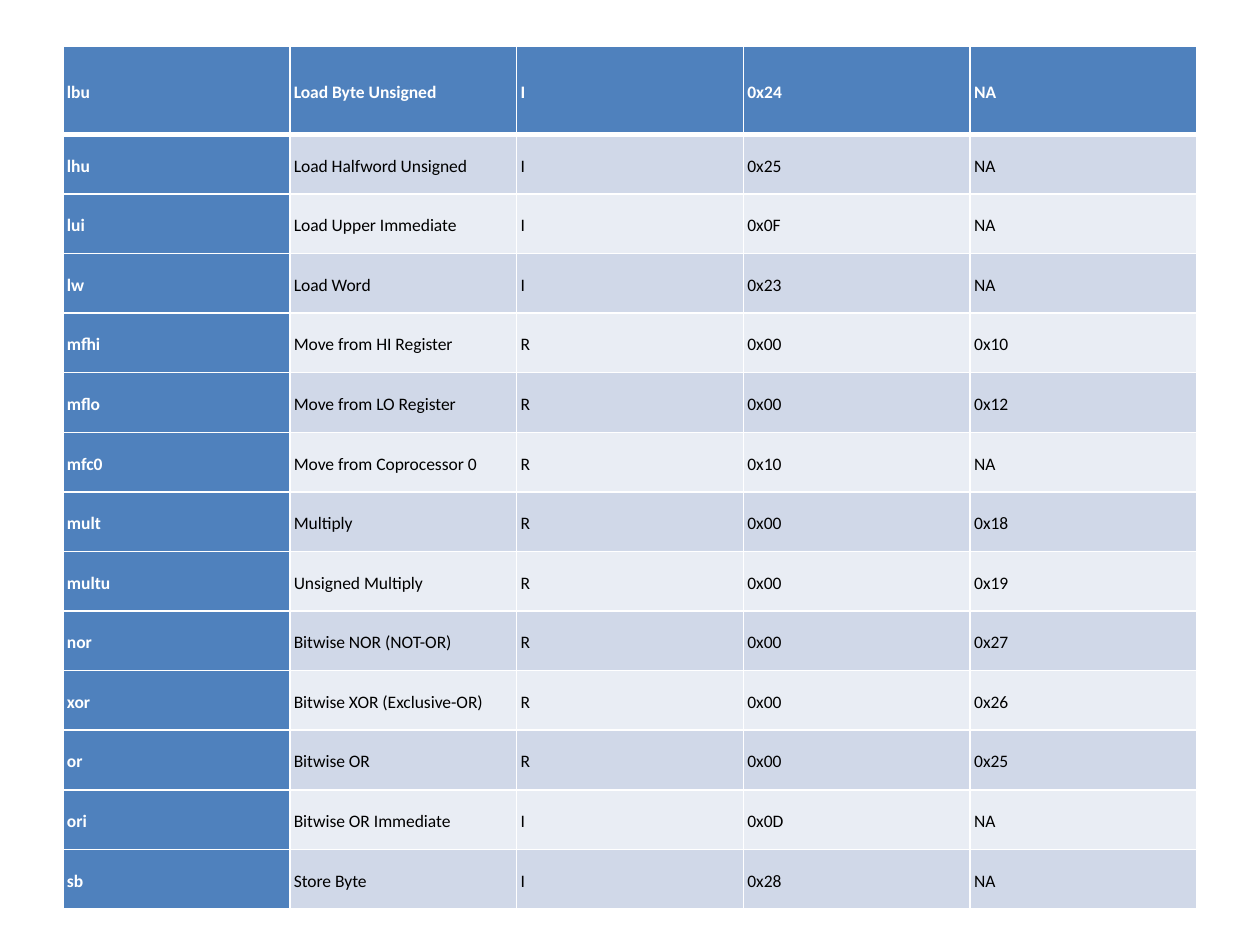
import pptx
import pptx.dml.color
import pptx.enum.text
import pptx.oxml.ns
import pptx.util
import lxml.etree

Cm = pptx.util.Cm
Pt = pptx.util.Pt

INSTRUCTIONS = [
    ("lbu", "Load Byte Unsigned", "I", "0x24", "NA"),
    ("lhu", "Load Halfword Unsigned", "I", "0x25", "NA"),
    ("lui", "Load Upper Immediate", "I", "0x0F", "NA"),
    ("lw", "Load Word", "I", "0x23", "NA"),
    ("mfhi", "Move from HI Register", "R", "0x00", "0x10"),
    ("mflo", "Move from LO Register", "R", "0x00", "0x12"),
    ("mfc0", "Move from Coprocessor 0", "R", "0x10", "NA"),
    ("mult", "Multiply", "R", "0x00", "0x18"),
    ("multu", "Unsigned Multiply", "R", "0x00", "0x19"),
    ("nor", "Bitwise NOR (NOT-OR)", "R", "0x00", "0x27"),
    ("xor", "Bitwise XOR (Exclusive-OR)", "R", "0x00", "0x26"),
    ("or", "Bitwise OR", "R", "0x00", "0x25"),
    ("ori", "Bitwise OR Immediate", "I", "0x0D", "NA"),
    ("sb", "Store Byte", "I", "0x28", "NA"),
]
HEADER_FILL = "4F81BD"
BAND_FILLS = ("E9EDF4", "D0D8E8")
WHITE = "FFFFFF"
BLACK = "000000"
FIRST_ROW_HEIGHT = Cm(1.78)

CELL_FORMAT = {
    "vertical_anchor": pptx.enum.text.MSO_ANCHOR.MIDDLE,
    "margin_left": Cm(0.08),
    "margin_right": Cm(0.08),
    "margin_top": Cm(0.08),
    "margin_bottom": Cm(0.08),
}
PARA_FORMAT = {
    "line_spacing": Pt(14.4),
    "space_before": Pt(12),
    "space_after": Pt(12),
}


def colour(value):
    return pptx.dml.color.RGBColor.from_string(value)


def apply_format(target, values):
    for name, value in values.items():
        setattr(target, name, value)


def add_borders(cell, widths):
    properties = cell._tc.get_or_add_tcPr()
    qn = pptx.oxml.ns.qn
    for position, (side, width) in enumerate(widths.items()):
        line = lxml.etree.Element(qn(f"a:ln{side}"), w=str(Pt(width)))
        fill = lxml.etree.SubElement(line, qn("a:solidFill"))
        lxml.etree.SubElement(fill, qn("a:srgbClr"), val=WHITE)
        properties.insert(position, line)


def format_cell(cell, text, row, column):
    heading = row == 0 or column == 0
    apply_format(cell, CELL_FORMAT)
    cell.fill.solid()
    cell.fill.fore_color.rgb = colour(HEADER_FILL if heading else BAND_FILLS[row % 2])
    add_borders(cell, {"L": 1, "R": 1, "T": 3 if row == 1 else 1, "B": 3 if row == 0 else 1})
    para = cell.text_frame.paragraphs[0]
    apply_format(para, PARA_FORMAT)
    span = para.add_run()
    span.text = text
    apply_format(span.font, {"name": "Calibri", "size": Pt(10), "bold": heading})
    span.font.color.rgb = colour(WHITE if heading else BLACK)


def add_instruction_table(page, left, top, width, height):
    row_count, column_count = len(INSTRUCTIONS), len(INSTRUCTIONS[0])
    table = page.shapes.add_table(row_count, column_count, left, top, width, height).table
    apply_format(table, {"first_row": True, "first_col": True, "horz_banding": True})
    for column in table.columns:
        column.width = width // column_count
    for index, row in enumerate(table.rows):
        row.height = (height - FIRST_ROW_HEIGHT) // (row_count - 1) if index else FIRST_ROW_HEIGHT
    for row, values in enumerate(INSTRUCTIONS):
        for column, text in enumerate(values):
            format_cell(table.cell(row, column), text, row, column)


def main():
    deck = pptx.Presentation()
    deck.slide_width = Cm(25.4)
    deck.slide_height = Cm(19.05)
    page = deck.slides.add_slide(deck.slide_layouts.get_by_name("Blank"))
    add_instruction_table(page, Cm(1.27), Cm(0.93), Cm(22.86), Cm(17.4))
    deck.save("out.pptx")


if __name__ == "__main__":
    main()
